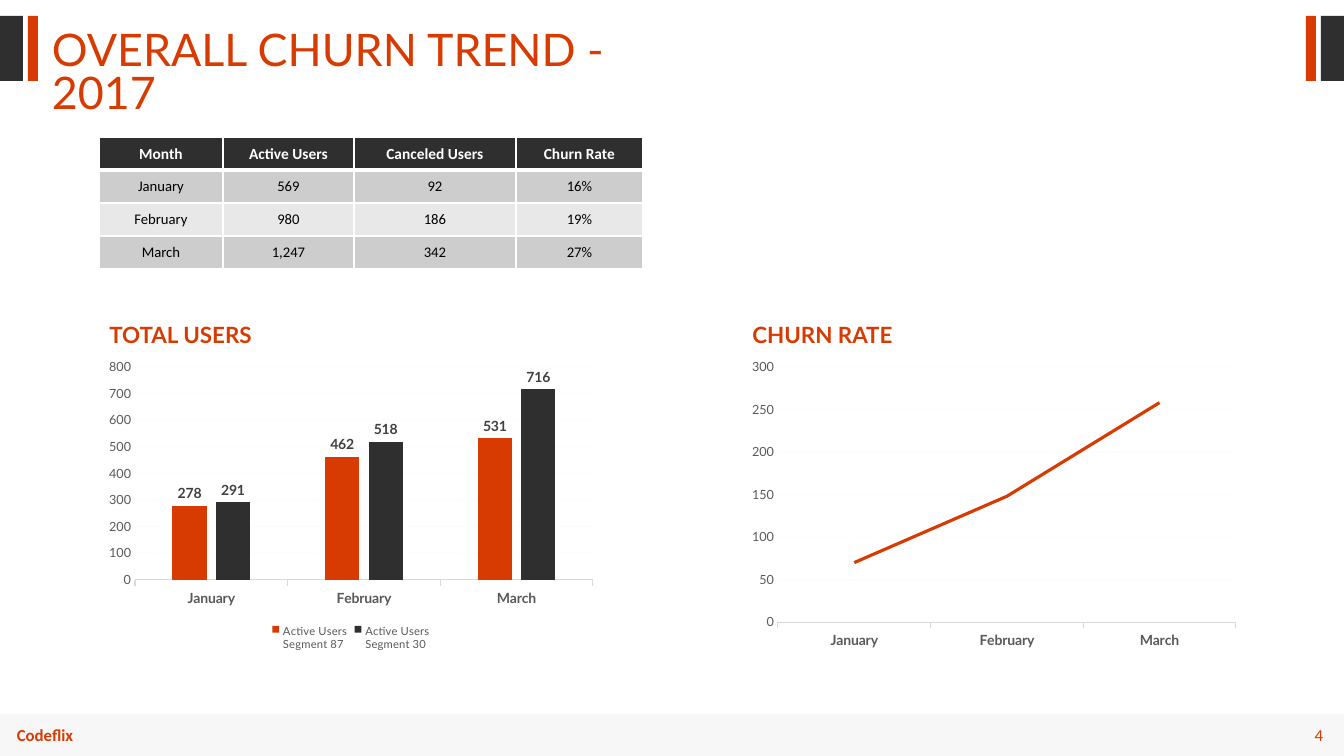
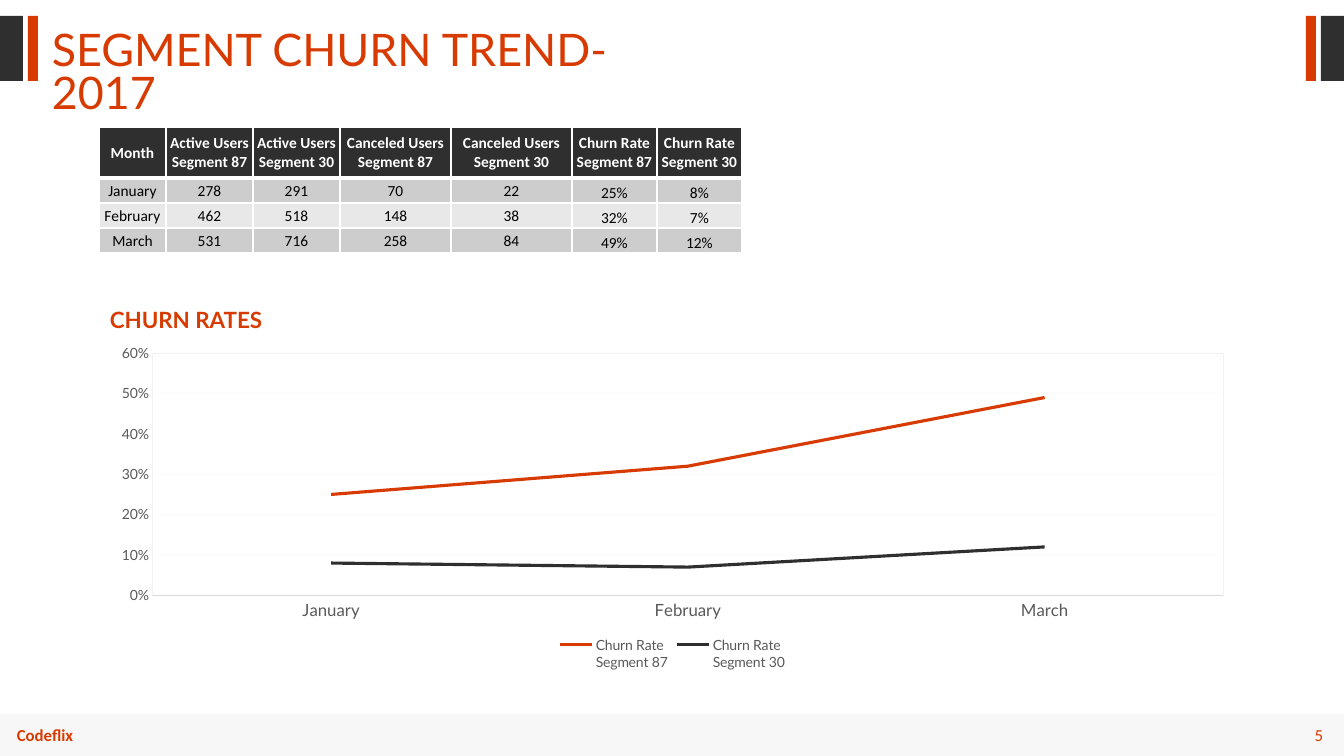
from lxml.etree import SubElement
from pptx import Presentation
from pptx.chart.data import CategoryChartData
from pptx.dml.color import RGBColor
from pptx.enum.chart import (XL_CHART_TYPE, XL_LABEL_POSITION,
                             XL_LEGEND_POSITION, XL_TICK_MARK)
from pptx.enum.shapes import MSO_SHAPE
from pptx.enum.text import MSO_ANCHOR, MSO_AUTO_SIZE, PP_ALIGN
from pptx.oxml.ns import qn
from pptx.util import Pt

SCALE = 914400 / 100.8  # EMU in one px
WIDTH, HEIGHT = 1344, 756
ORANGE, DARK, WHITE, BLACK = "D83B01", "2F2F2F", "FFFFFF", "000000"
PALE, AXIS_LINE, AXIS_TEXT, LABEL_TEXT = "E6E6E6", "D9D9D9", "595959", "404040"
BANDS = "CDCDCD", "E8E8E8"
HEADING_FONT, BODY_FONT = "Lato", "Calibri"
MONTHS = "January", "February", "March"


def px(*lengths):
    return [round(length * SCALE) for length in lengths]


def color(code):
    return RGBColor.from_string(code)


def apply(target, values):
    for name, value in values.items():
        setattr(target, name, value)


def style_font(font, size, code, bold=False, name=HEADING_FONT):
    apply(font, {"size": Pt(size), "bold": bold, "name": name})
    font.color.rgb = color(code)


def style_line(line, code, width):
    line.color.rgb = color(code)
    line.width = Pt(width)


def fade(element, percent):
    for tint in element.iter(qn("a:srgbClr")):
        SubElement(tint, qn("a:alpha"), val=str(percent * 1000))


def add_outline(parent, tag, code, width):
    outline = SubElement(parent, qn(tag), w=str(Pt(width)))
    if code:
        fill = SubElement(outline, qn("a:solidFill"))
        SubElement(fill, qn("a:srgbClr"), val=code)
    else:
        SubElement(outline, qn("a:noFill"))


class Deck:
    def __init__(self):
        self.file = Presentation()
        self.file.slide_width, self.file.slide_height = px(WIDTH, HEIGHT)
        self.shapes = None

    def slide(self, title, number):
        self.shapes = self.file.slides.add_slide(
            self.file.slide_layouts[6]).shapes
        # Side bars, mirrored on the right edge
        for left, width, code in ((0, 23, DARK), (28, 10, ORANGE)):
            for x in (left, WIDTH - left - width):
                self.bar(x, 16, width, 65, code)
        # Footer
        footer = self.bar(0, 714, WIDTH, 42, PALE)
        fade(footer.element.spPr, 30)
        self.text("Codeflix", (7, 720, 185, 30), 12, BODY_FONT, bold=True)
        self.text(str(number), (1245, 720, 88, 30), 12, BODY_FONT,
                  align=PP_ALIGN.RIGHT, anchor=MSO_ANCHOR.MIDDLE)
        self.text(title, (42, 27, 672, 54), 32, spacing=0.8)

    def bar(self, left, top, width, height, code):
        bar = self.shapes.add_shape(MSO_SHAPE.RECTANGLE,
                                    *px(left, top, width, height))
        bar.shadow.inherit = False
        bar.fill.solid()
        bar.fill.fore_color.rgb = color(code)
        bar.line.fill.background()
        return bar

    def text(self, words, box, size, font=HEADING_FONT, bold=False,
             align=PP_ALIGN.LEFT, anchor=MSO_ANCHOR.TOP, wrap=True,
             spacing=None):
        frame = self.shapes.add_textbox(*px(*box)).text_frame
        apply(frame, {"word_wrap": wrap, "vertical_anchor": anchor,
                      "auto_size": MSO_AUTO_SIZE.SHAPE_TO_FIT_TEXT})
        paragraph = frame.paragraphs[0]
        apply(paragraph, {"text": words, "alignment": align,
                          "line_spacing": spacing})
        style_font(paragraph.runs[0].font, size, ORANGE, bold, font)

    def heading(self, words, left, top, width):
        self.text(words, (left, top, width, 37), 16, bold=True,
                  align=PP_ALIGN.CENTER, wrap=False)

    def table(self, left, top, widths, heights, rows, body_size,
              bottom_columns=()):
        table = self.shapes.add_table(
            len(rows), len(widths),
            *px(left, top, sum(widths), sum(heights))).table
        table.horz_banding = False
        for column, width in zip(table.columns, px(*widths)):
            column.width = width
        for row, height in zip(table.rows, px(*heights)):
            row.height = height
        for r, row in enumerate(rows):
            for c, words in enumerate(row):
                at_bottom = r > 0 and c in bottom_columns
                self.cell(table.cell(r, c), words, r, body_size, at_bottom)

    def cell(self, cell, words, row, body_size, at_bottom):
        header = row == 0
        margin = px(1)[0]
        apply(cell, {
            "margin_left": margin, "margin_right": margin,
            "margin_top": margin, "margin_bottom": 0,
            "vertical_anchor":
                MSO_ANCHOR.BOTTOM if at_bottom else MSO_ANCHOR.MIDDLE})
        paragraph = cell.text_frame.paragraphs[0]
        apply(paragraph, {"text": words, "alignment": PP_ALIGN.CENTER})
        for run in paragraph.runs:
            style_font(run.font, 11 if header else body_size,
                       WHITE if header else BLACK, header, BODY_FONT)
        # Borders come before the fill; a thick rule closes the header
        borders = {"a:lnL": 1, "a:lnR": 1, "a:lnT": 3 if row == 1 else 1,
                   "a:lnB": 3 if header else 1}
        properties = cell._tc.get_or_add_tcPr()
        for tag, width in borders.items():
            add_outline(properties, tag, WHITE, width)
        cell.fill.solid()
        cell.fill.fore_color.rgb = color(
            DARK if header else BANDS[(row - 1) % 2])

    def chart(self, kind, box, series, top_value, step, number_format="#,##0",
              month_size=10, month_bold=True, value_size=9, legend_size=None,
              tick=XL_TICK_MARK.OUTSIDE, frame=None):
        data = CategoryChartData(number_format=number_format)
        data.categories = MONTHS
        for name, values in series:
            data.add_series(name, values)
        chart = self.shapes.add_chart(kind, *px(*box), data).chart
        style_font(chart.font, 10, BLACK, name=BODY_FONT)
        apply(chart, {"has_title": False, "has_legend": bool(legend_size)})
        if legend_size:
            apply(chart.legend, {"position": XL_LEGEND_POSITION.BOTTOM,
                                 "include_in_layout": False})
            style_font(chart.legend.font, legend_size, AXIS_TEXT)
        # Axes
        months, scale = chart.category_axis, chart.value_axis
        apply(months, {"major_tick_mark": tick,
                       "minor_tick_mark": XL_TICK_MARK.NONE})
        style_font(months.tick_labels.font, month_size, AXIS_TEXT, month_bold)
        style_line(months.format.line, AXIS_LINE, 0.75)
        apply(scale, {"minimum_scale": 0, "maximum_scale": top_value,
                      "major_unit": step, "has_major_gridlines": True,
                      "major_tick_mark": XL_TICK_MARK.NONE,
                      "minor_tick_mark": XL_TICK_MARK.NONE})
        apply(scale.tick_labels, {"number_format": number_format,
                                  "number_format_is_linked": False})
        style_font(scale.tick_labels.font, value_size, AXIS_TEXT)
        scale.format.line.fill.background()
        style_line(scale.major_gridlines.format.line, PALE, 0.75)
        fade(scale._element.find(qn("c:majorGridlines")), 10)
        # Plot frame
        area = chart._chartSpace.find(".//" + qn("c:plotArea"))
        frame_style = SubElement(area, qn("c:spPr"))
        SubElement(frame_style, qn("a:noFill"))
        add_outline(frame_style, "a:ln", frame, 0.75)
        # Series
        plot = chart.plots[0]
        plot.vary_by_categories = False
        for item, code in zip(plot.series, (ORANGE, DARK)):
            if kind == XL_CHART_TYPE.LINE:
                item.smooth = False
                style_line(item.format.line, code, 2.25)
            else:
                item.format.fill.solid()
                item.format.fill.fore_color.rgb = color(code)
        if kind == XL_CHART_TYPE.COLUMN_CLUSTERED:
            apply(plot, {"gap_width": 219, "overlap": -27,
                         "has_data_labels": True})
            apply(plot.data_labels, {
                "show_value": True, "number_format": number_format,
                "number_format_is_linked": False,
                "position": XL_LABEL_POSITION.OUTSIDE_END})
            style_font(plot.data_labels.font, 10, LABEL_TEXT, True)


def main():
    deck = Deck()
    left, right = 99, 742
    active_87, active_30 = (278, 462, 531), (291, 518, 716)
    canceled_87 = (70, 148, 258)

    # Overall churn
    deck.slide("OVERALL CHURN TREND - 2017", 4)
    deck.heading("TOTAL USERS", left, 316, 163)
    deck.table(left, 137, (124, 131, 162, 127), [33] * 4, (
        ("Month", "Active Users", "Canceled Users", "Churn Rate"),
        ("January", "569", "92", "16%"),
        ("February", "980", "186", "19%"),
        ("March", "1,247", "342", "27%")), 10.5)
    deck.chart(XL_CHART_TYPE.COLUMN_CLUSTERED, (left, 353, 504, 302),
               (("Active Users\nSegment 87", active_87),
                ("Active Users\nSegment 30", active_30)),
               800, 100, legend_size=8)
    deck.chart(XL_CHART_TYPE.LINE, (right, 353, 504, 302),
               (("Series 1", canceled_87),), 300, 50)
    deck.heading("CHURN RATE", right, 316, 161)

    # Churn by segment
    deck.slide("SEGMENT CHURN TREND- 2017", 5)
    deck.heading("CHURN RATES", left, 301, 174)
    segments = "Segment 87", "Segment 30"
    measures = "Active Users", "Canceled Users", "Churn Rate"
    header = ["Month"] + [f"{measure}\n{segment}" for measure in measures
                          for segment in segments]
    deck.table(left, 127, (67, 87, 87, 111, 121, 85, 85), (51, 25, 25, 25), (
        header,
        ("January", "278", "291", "70", "22", "25%", "8%"),
        ("February", "462", "518", "148", "38", "32%", "7%"),
        ("March", "531", "716", "258", "84", "49%", "12%")), 11, (5, 6))
    deck.chart(XL_CHART_TYPE.LINE, (left, 338, 1147, 337),
               (("Churn Rate\nSegment 87", (0.25, 0.32, 0.49)),
                ("Churn Rate\nSegment 30", (0.08, 0.07, 0.12))),
               0.6, 0.1, number_format="0%", month_size=12, month_bold=False,
               value_size=10, legend_size=10, tick=XL_TICK_MARK.NONE,
               frame="F2F2F2")

    deck.file.save("out.pptx")


if __name__ == "__main__":
    main()
